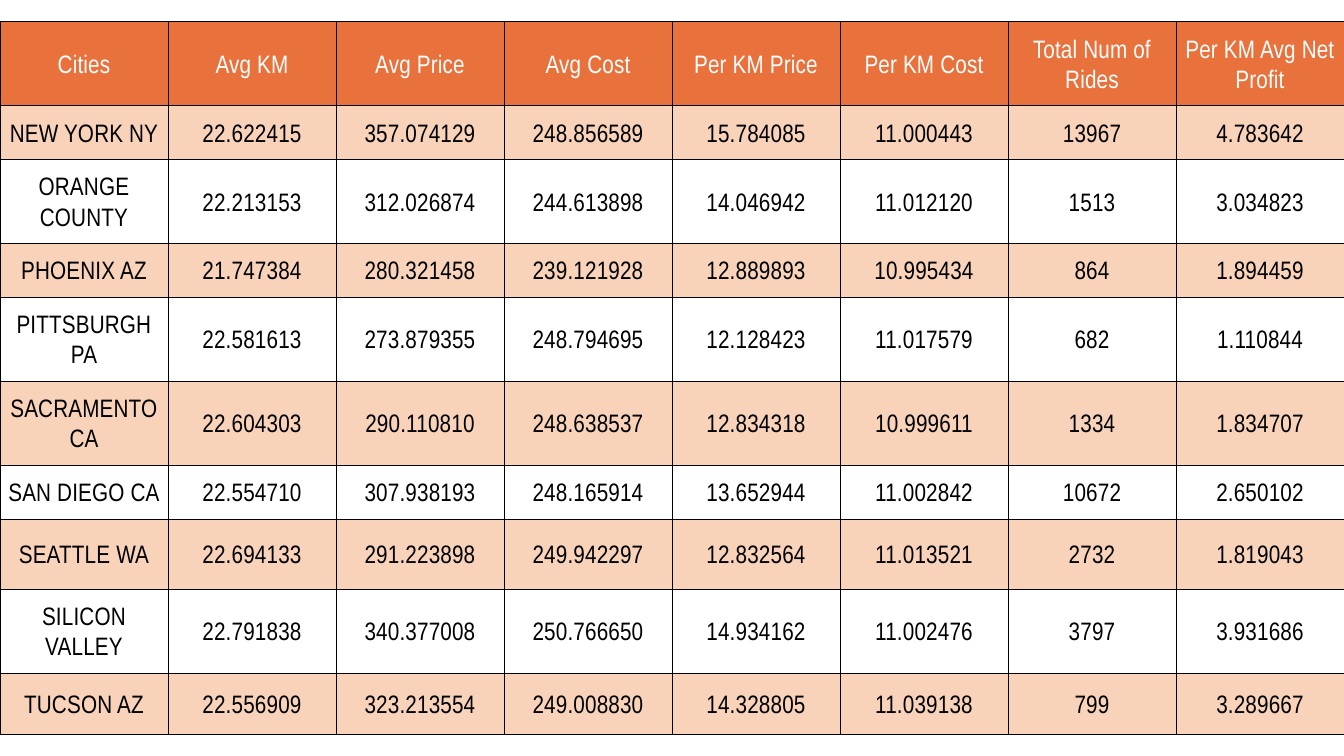
from lxml.etree import SubElement
from pptx import Presentation
from pptx.dml.color import RGBColor
from pptx.enum.text import MSO_ANCHOR as Anchor, PP_ALIGN as Align
from pptx.oxml.ns import qn
from pptx.util import Pt

HEADERS = ["Cities", "Avg KM", "Avg Price", "Avg Cost", "Per KM Price",
           "Per KM Cost", "Total Num of Rides", "Per KM Avg Net Profit"]
CITIES = [
    ("NEW YORK NY", "22.622415", "357.074129", "248.856589", "15.784085", "11.000443", "13967", "4.783642"),
    ("ORANGE COUNTY", "22.213153", "312.026874", "244.613898", "14.046942", "11.012120", "1513", "3.034823"),
    ("PHOENIX AZ", "21.747384", "280.321458", "239.121928", "12.889893", "10.995434", "864", "1.894459"),
    ("PITTSBURGH PA", "22.581613", "273.879355", "248.794695", "12.128423", "11.017579", "682", "1.110844"),
    ("SACRAMENTO CA", "22.604303", "290.110810", "248.638537", "12.834318", "10.999611", "1334", "1.834707"),
    ("SAN DIEGO CA", "22.554710", "307.938193", "248.165914", "13.652944", "11.002842", "10672", "2.650102"),
    ("SEATTLE WA", "22.694133", "291.223898", "249.942297", "12.832564", "11.013521", "2732", "1.819043"),
    ("SILICON VALLEY", "22.791838", "340.377008", "250.766650", "14.934162", "11.002476", "3797", "3.931686"),
    ("TUCSON AZ", "22.556909", "323.213554", "249.008830", "14.328805", "11.039138", "799", "3.289667"),
]

THEME = {
    "font": "Arial Narrow", "size": 27, "line_spacing": 32.4, "letter_spacing": 0.2,
    "header_fill": "E8713C", "header_text": "FFFFFF",
    "band_fills": ("F8D3BA", "FFFFFF"), "body_text": "000000",
    "border": "000000", "border_width": 0.37,
}
SLIDE_WIDTH, SLIDE_HEIGHT = 1440, 810
TABLE_TOP = 23
ONE_LINE, TWO_LINES = 57.6, 90
ROW_HEIGHTS = [TWO_LINES, ONE_LINE, TWO_LINES, ONE_LINE, TWO_LINES,
               TWO_LINES, ONE_LINE, 75, TWO_LINES, 65.5]
CELL_FORMAT = {"vertical_anchor": Anchor.MIDDLE, "margin_left": Pt(7.2), "margin_right": Pt(7.2),
               "margin_top": Pt(7.2), "margin_bottom": Pt(7.2)}
PARAGRAPH_FORMAT = {"alignment": Align.CENTER, "line_spacing": Pt(THEME["line_spacing"])}
FONT_FORMAT = {"name": THEME["font"], "size": Pt(THEME["size"]), "bold": False}


def apply_format(target, values):
    for name, value in values.items():
        setattr(target, name, value)


def add_borders(cell):
    """Draw all four cell borders; they must precede the fill in the cell properties."""
    properties = cell._tc.get_or_add_tcPr()
    for position, side in enumerate(("lnL", "lnR", "lnT", "lnB")):
        line = SubElement(properties, qn(f"a:{side}"), w=str(Pt(THEME["border_width"])))
        solid_fill = SubElement(line, qn("a:solidFill"))
        SubElement(solid_fill, qn("a:srgbClr"), val=THEME["border"])
        properties.insert(position, line)


def fill_cell(cell, text, fill_color, text_color):
    apply_format(cell, CELL_FORMAT)
    cell.fill.solid()
    cell.fill.fore_color.rgb = RGBColor.from_string(fill_color)
    add_borders(cell)
    paragraph = cell.text_frame.paragraphs[0]
    apply_format(paragraph, PARAGRAPH_FORMAT)
    run = paragraph.add_run()
    run.text = text
    apply_format(run.font, FONT_FORMAT)
    run.font.color.rgb = RGBColor.from_string(text_color)
    run._r.get_or_add_rPr().set("spc", str(round(THEME["letter_spacing"] * 100)))


def add_city_table(slide):
    rows = [HEADERS, *CITIES]
    table = slide.shapes.add_table(len(rows), len(HEADERS), 0, Pt(TABLE_TOP),
                                   Pt(SLIDE_WIDTH), Pt(sum(ROW_HEIGHTS))).table
    for column in table.columns:
        column.width = Pt(SLIDE_WIDTH / len(HEADERS))
    for row_index, (values, height) in enumerate(zip(rows, ROW_HEIGHTS)):
        table.rows[row_index].height = Pt(height)
        if row_index == 0:
            colors = THEME["header_fill"], THEME["header_text"]
        else:
            colors = THEME["band_fills"][(row_index - 1) % 2], THEME["body_text"]
        for column_index, text in enumerate(values):
            fill_cell(table.cell(row_index, column_index), text, *colors)


def main():
    presentation = Presentation()
    presentation.slide_width = Pt(SLIDE_WIDTH)
    presentation.slide_height = Pt(SLIDE_HEIGHT)
    slide = presentation.slides.add_slide(presentation.slide_layouts[6])
    add_city_table(slide)
    presentation.save("out.pptx")


if __name__ == "__main__":
    main()
